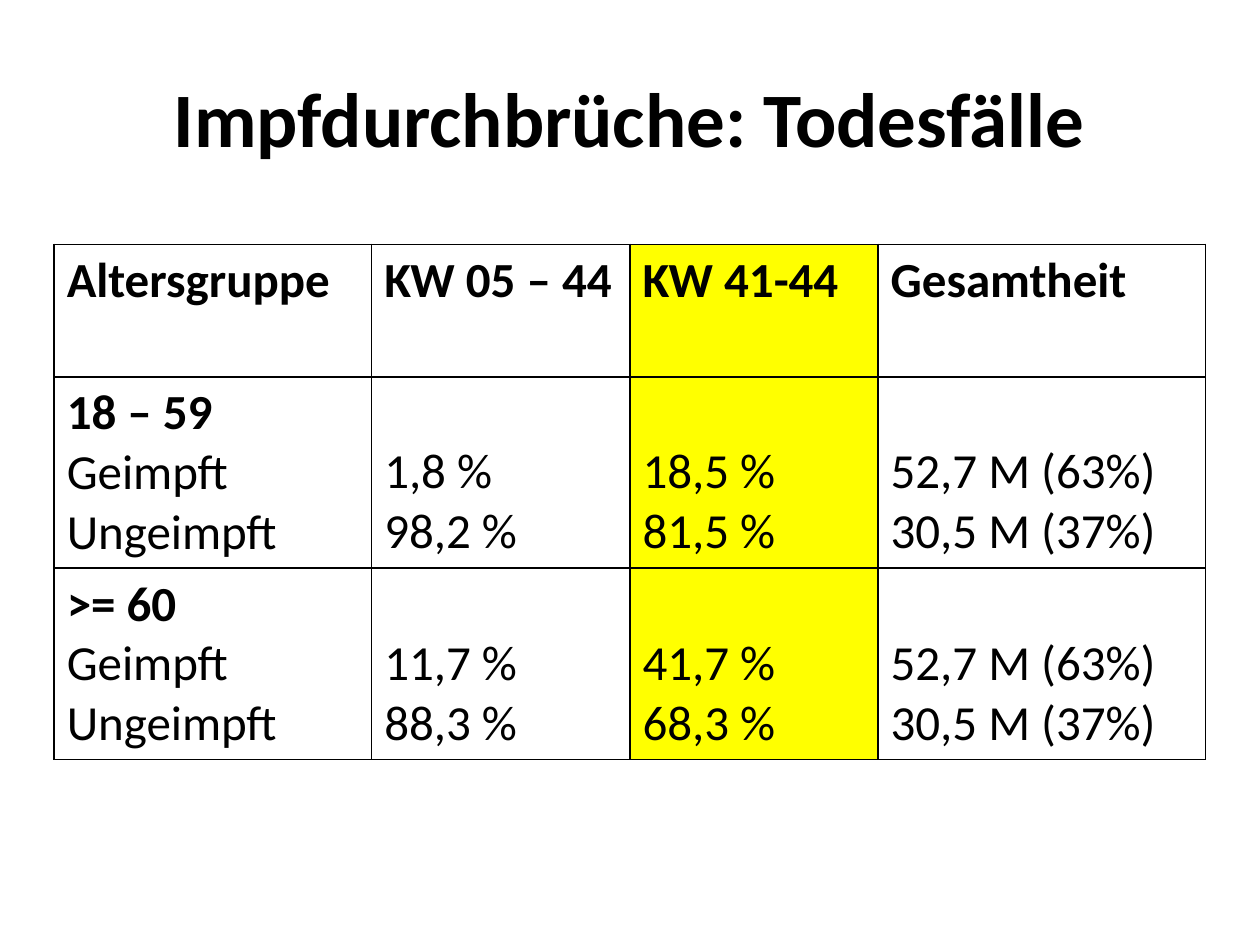
from dataclasses import dataclass

import lxml.etree
import pptx
import pptx.dml.color
import pptx.enum.text
import pptx.oxml.ns
import pptx.util

ANCHOR = pptx.enum.text.MSO_ANCHOR
ALIGN = pptx.enum.text.PP_ALIGN


@dataclass(frozen=True)
class Theme:
    font: str = "Calibri"
    ink: str = "000000"
    highlight: str = "FFFF00"
    title_size: int = 44
    body_size: int = 28
    border_width: int = 1


@dataclass(frozen=True)
class AgeGroup:
    label: str
    whole_period: tuple[str, str]
    recent_weeks: tuple[str, str]
    population: tuple[str, str] = ("52,7 M (63%)", "30,5 M (37%)")

    def columns(self) -> list[tuple[str, ...]]:
        statuses = (self.label, "Geimpft", "Ungeimpft")
        return [statuses, self.whole_period, self.recent_weeks, self.population]


THEME = Theme()
SLIDE_WIDTH = pptx.util.Inches(10)
SLIDE_HEIGHT = pptx.util.Inches(7.5)
COLUMN_WIDTHS = (2.52, 2.05, 1.97, 2.6)
ROW_HEIGHTS = (1.05, 1.52, 1.52)
HIGHLIGHT_COLUMN = 2
HEADINGS = ("Altersgruppe", "KW 05 – 44", "KW 41-44", "Gesamtheit")
AGE_GROUPS = (
    AgeGroup("18 – 59", ("1,8 %", "98,2 %"), ("18,5 %", "81,5 %")),
    AgeGroup(">= 60", ("11,7 %", "88,3 %"), ("41,7 %", "68,3 %")),
)


def write_text(frame, lines: tuple[str, ...], *, size: int, bold_lines: int = 0,
               align=ALIGN.LEFT, anchor=ANCHOR.TOP) -> None:
    frame.word_wrap = True
    frame.vertical_anchor = anchor
    for index, line in enumerate(lines):
        paragraph = frame.paragraphs[0] if index == 0 else frame.add_paragraph()
        paragraph.alignment = align
        run = paragraph.add_run()
        run.text = line
        run.font.name = THEME.font
        run.font.size = pptx.util.Pt(size)
        run.font.bold = index < bold_lines
        run.font.color.rgb = pptx.dml.color.RGBColor.from_string(THEME.ink)


def draw_borders(cell) -> None:
    qn = pptx.oxml.ns.qn
    properties = cell._tc.get_or_add_tcPr()
    for side in ("lnL", "lnR", "lnT", "lnB"):
        border = lxml.etree.SubElement(properties, qn(f"a:{side}"))
        border.set("w", str(pptx.util.Pt(THEME.border_width)))
        fill = lxml.etree.SubElement(border, qn("a:solidFill"))
        lxml.etree.SubElement(fill, qn("a:srgbClr")).set("val", THEME.ink)


def fill_cell(cell, lines: tuple[str, ...], *, bold_lines: int, anchor,
              highlighted: bool) -> None:
    draw_borders(cell)
    if highlighted:
        cell.fill.solid()
        cell.fill.fore_color.rgb = pptx.dml.color.RGBColor.from_string(THEME.highlight)
    else:
        cell.fill.background()
    write_text(cell.text_frame, lines, size=THEME.body_size, bold_lines=bold_lines)
    cell.vertical_anchor = anchor


def add_title(slide, title: str) -> None:
    heading = slide.shapes.add_textbox(
        int(SLIDE_WIDTH * 0.05), int(SLIDE_HEIGHT * 0.04),
        int(SLIDE_WIDTH * 0.9), pptx.util.Inches(1.25))
    write_text(heading.text_frame, (title,), size=THEME.title_size, bold_lines=1,
               align=ALIGN.CENTER, anchor=ANCHOR.MIDDLE)


def add_death_table(slide) -> None:
    inches = pptx.util.Inches
    deaths = slide.shapes.add_table(
        len(ROW_HEIGHTS), len(COLUMN_WIDTHS), inches(0.43), inches(1.94),
        inches(sum(COLUMN_WIDTHS)), inches(sum(ROW_HEIGHTS))).table
    deaths.first_row = False
    deaths.horz_banding = False
    for column, width in zip(deaths.columns, COLUMN_WIDTHS):
        column.width = inches(width)
    for row, height in zip(deaths.rows, ROW_HEIGHTS):
        row.height = inches(height)

    contents = [[(heading,) for heading in HEADINGS]]
    contents += [group.columns() for group in AGE_GROUPS]
    for row_index, row_contents in enumerate(contents):
        is_header = row_index == 0
        for column_index, lines in enumerate(row_contents):
            fill_cell(
                deaths.cell(row_index, column_index), lines,
                bold_lines=1 if is_header or column_index == 0 else 0,
                anchor=ANCHOR.TOP if is_header else ANCHOR.BOTTOM,
                highlighted=column_index == HIGHLIGHT_COLUMN)


def main() -> None:
    presentation = pptx.Presentation()
    presentation.slide_width = SLIDE_WIDTH
    presentation.slide_height = SLIDE_HEIGHT
    slide = presentation.slides.add_slide(presentation.slide_layouts[6])
    add_title(slide, "Impfdurchbrüche: Todesfälle")
    add_death_table(slide)
    presentation.save("out.pptx")


if __name__ == "__main__":
    main()
